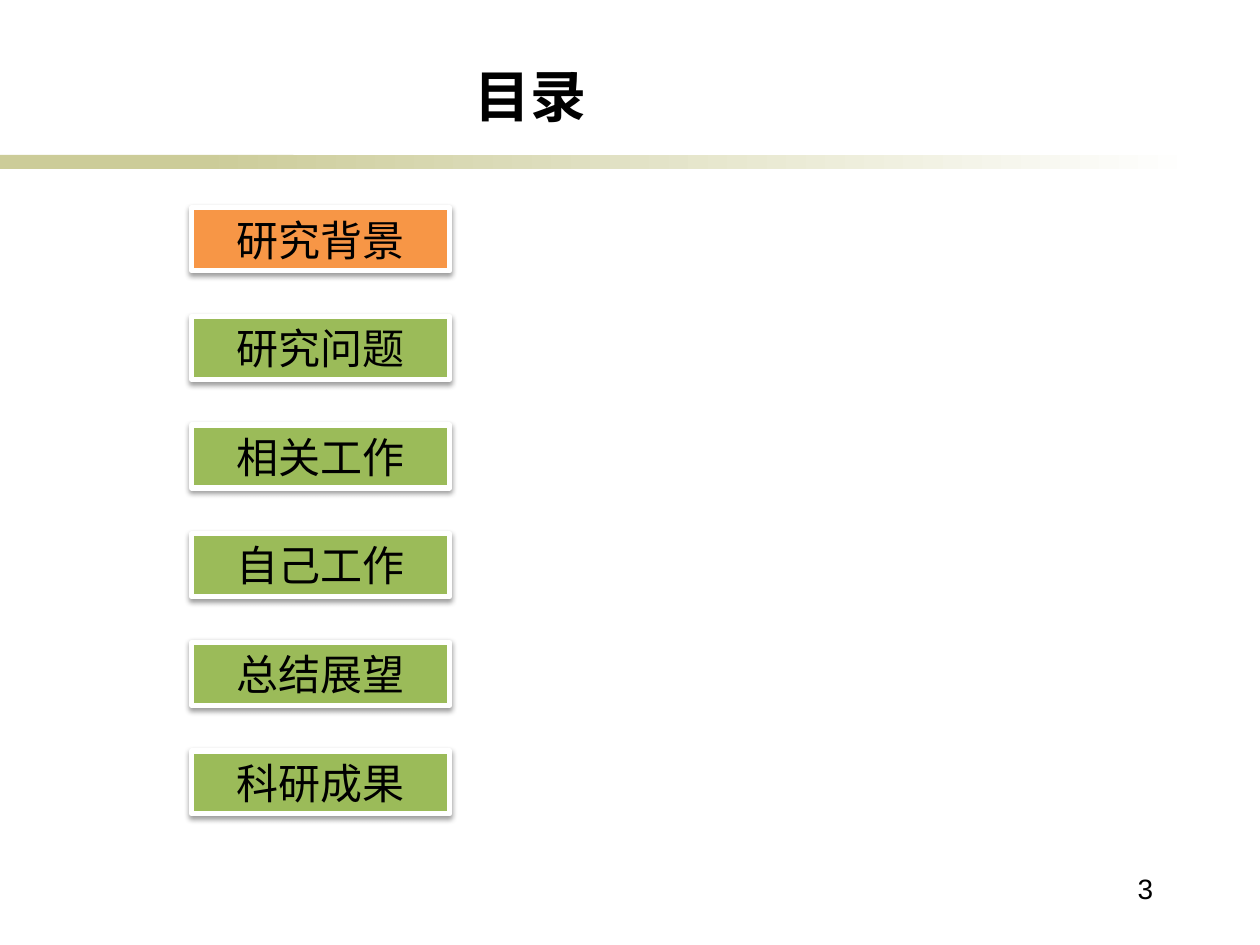
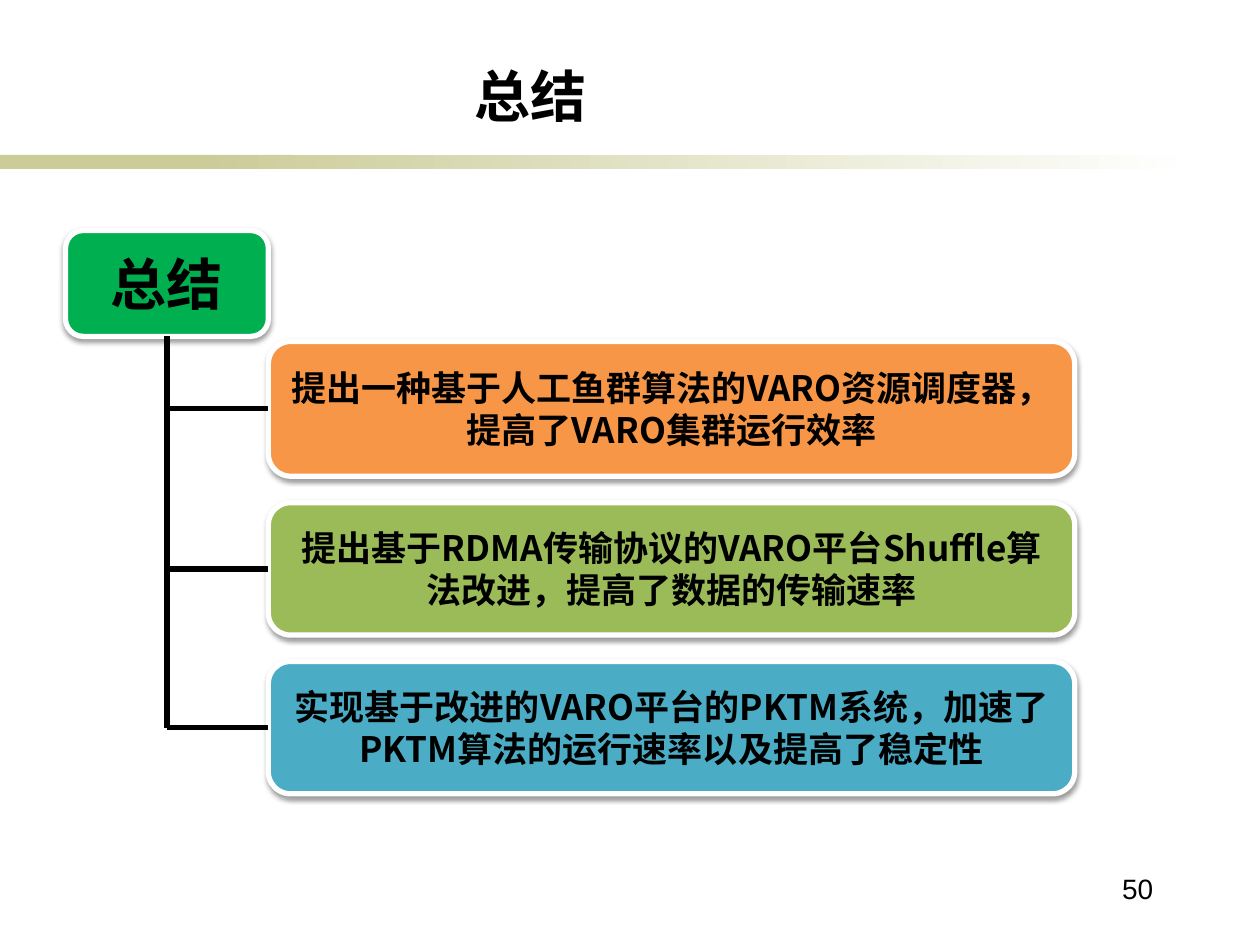
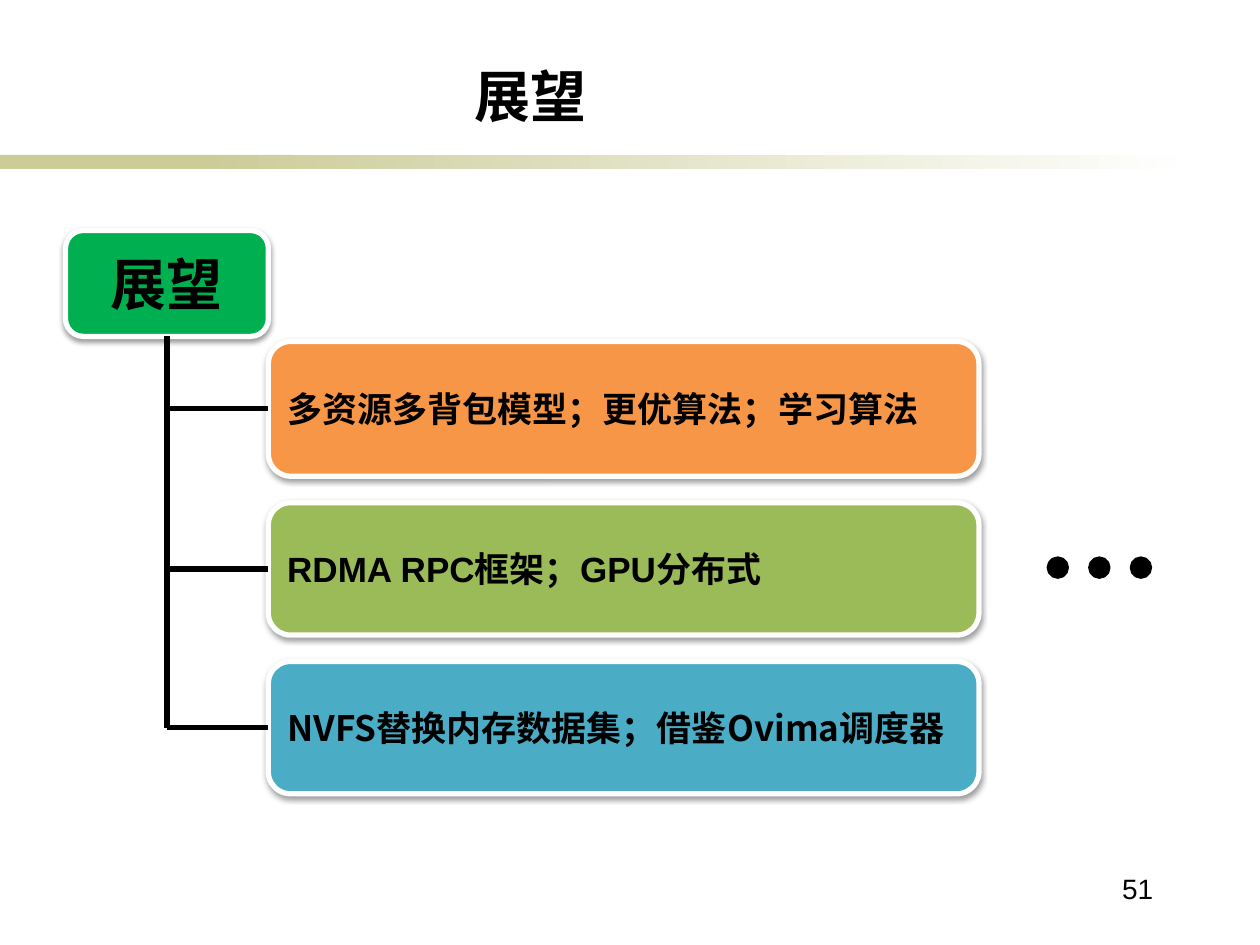
from lxml.etree import SubElement
from pptx import Presentation
from pptx.dml.color import RGBColor
from pptx.enum.shapes import MSO_CONNECTOR, MSO_SHAPE
from pptx.enum.text import MSO_ANCHOR, MSO_AUTO_SIZE, PP_ALIGN
from pptx.oxml.ns import qn
from pptx.util import Inches, Pt

CJK, LATIN = "Noto Sans CJK SC", "Arial"
COLORS = {
    "text": "000000", "white": "FFFFFF", "band": "CCCC99", "root": "00B050",
    "orange": "F79646", "green": "9BBB59", "blue": "4BACC6",
}

AGENDA = ["研究背景", "研究问题", "相关工作", "自己工作", "总结展望", "科研成果"]
SUMMARY = [
    ("提出一种基于人工鱼群算法的VARO资源调度器，提高了VARO集群运行效率", CJK),
    ("提出基于RDMA传输协议的VARO平台Shuffle算法改进，提高了数据的传输速率", CJK),
    ("实现基于改进的VARO平台的PKTM系统，加速了PKTM算法的运行速率以及提高了稳定性", CJK),
]
OUTLOOK = [
    ("多资源多背包模型；更优算法；学习算法", CJK),
    ("RDMA RPC框架；GPU分布式", LATIN),
    ("NVFS替换内存数据集；借鉴Ovima调度器", CJK),
]
BRANCH_ROWS = [("orange", 2.71, 1.07), ("green", 3.99, 1.05), ("blue", 5.25, 1.05)]


def rgb(name):
    return RGBColor.from_string(COLORS[name])


def inches(*lengths):
    return [Inches(n) for n in lengths]


def write(sp, text, size, bold=False, align=PP_ALIGN.CENTER, latin=CJK):
    tf = sp.text_frame
    tf.word_wrap = True
    tf.text = text
    p = tf.paragraphs[0]
    p.alignment = align
    p.font.size, p.font.bold, p.font.name = Pt(size), bold, latin
    p.font.color.rgb = rgb("text")
    for props in sp.element.iter(qn("a:defRPr")):
        SubElement(props, qn("a:ea"), typeface=CJK)


def add_shadow(sp):
    sp.shadow.inherit = False
    effects = sp.element.spPr.find(qn("a:effectLst"))
    shadow = SubElement(effects, qn("a:outerShdw"), blurRad=str(Pt(3.1)),
                        dist=str(Pt(1.6)), dir="5400000", rotWithShape="0")
    color = SubElement(shadow, qn("a:srgbClr"), val=COLORS["text"])
    SubElement(color, qn("a:alpha"), val="38000")


def add_box(slide, kind, at, color, text, size, **style):
    sp = slide.shapes.add_shape(kind, *inches(*at))
    sp.fill.solid()
    sp.fill.fore_color.rgb = rgb(color)
    sp.line.color.rgb = rgb("white")
    sp.line.width = Pt(3)
    add_shadow(sp)
    write(sp, text, size, **style)
    return sp


def add_line(slide, x1, y1, x2, y2):
    line = slide.shapes.add_connector(MSO_CONNECTOR.STRAIGHT, x1, y1, x2, y2)
    line.line.color.rgb = rgb("text")
    line.line.width = Pt(3)
    SubElement(line.element.spPr, qn("a:effectLst"))
    return line


def add_bands(slide, layout):
    """Draw the two title bands and move them to the layout all slides share."""
    for left, width, fades in [(0, 2.33, False), (1.58, 7.92, True)]:
        sp = slide.shapes.add_shape(MSO_SHAPE.RECTANGLE, *inches(left, 1.23, width, 0.11))
        sp.shadow.inherit = False
        sp.line.fill.background()
        if fades:
            sp.fill.gradient()
            sp.fill.gradient_angle = 0
            for stop, color in zip(sp.fill.gradient_stops, ("band", "white")):
                stop.color.rgb = rgb(color)
        else:
            sp.fill.solid()
            sp.fill.fore_color.rgb = rgb("band")
        layout.shapes.element.append(sp.element)


def add_slide(prs, title, number):
    slide = prs.slides.add_slide(prs.slide_layouts.get_by_name("Title Only"))
    sp = slide.shapes.title
    sp.left, sp.top, sp.width, sp.height = inches(1.14, 0.44, 6.14, 0.63)
    write(sp, title, 32, bold=True)
    tf = sp.text_frame
    tf.auto_size = MSO_AUTO_SIZE.NONE
    tf.vertical_anchor = MSO_ANCHOR.BOTTOM
    tf.margin_left = tf.margin_right = tf.margin_top = 0
    tf.margin_bottom = Inches(0.05)
    page = slide.shapes.add_textbox(*inches(8.23, 6.87, 1.02, 0.5))
    write(page, str(number), 16, align=PP_ALIGN.RIGHT, latin=LATIN)
    return slide


def add_agenda(slide, current):
    for i, topic in enumerate(AGENDA):
        color = "orange" if topic == current else "green"
        add_box(slide, MSO_SHAPE.RECTANGLE, (1.52, 1.65 + i * 4.31 / 5, 2.05, 0.5),
                color, topic, 24)


def add_tree(slide, topic, points, width, align):
    """Hang one box per point on a trunk that drops from the topic box."""
    boxes = [
        add_box(slide, MSO_SHAPE.ROUNDED_RECTANGLE, (2.13, top, width, height),
                color, text, 20, bold=True, align=align, latin=latin)
        for (text, latin), (color, top, height) in zip(points, BRANCH_ROWS)
    ]
    root = add_box(slide, MSO_SHAPE.ROUNDED_RECTANGLE, (0.52, 1.83, 1.61, 0.84),
                   "root", topic, 32, bold=True)
    x = root.left + root.width // 2
    middles = [box.top + box.height // 2 for box in boxes]
    trunk = add_line(slide, x, root.top + root.height, x, middles[-1])
    trunk.begin_connect(root, 2)
    for box, y in zip(boxes, middles):
        add_line(slide, x, y, box.left, y).end_connect(box, 1)


def add_ellipsis(slide):
    group = slide.shapes.add_group_shape()
    for i in range(3):
        dot = group.shapes.add_shape(MSO_SHAPE.OVAL, *inches(8.32 + i * 0.33, 4.43, 0.15, 0.15))
        dot.shadow.inherit = False
        dot.fill.solid()
        dot.fill.fore_color.rgb = dot.line.color.rgb = rgb("text")
        dot.line.width = Pt(2)


def main():
    prs = Presentation()
    prs.slide_width, prs.slide_height = inches(10, 7.5)

    agenda = add_slide(prs, "目录", 3)
    add_bands(agenda, agenda.slide_layout)
    add_agenda(agenda, "研究背景")

    summary = add_slide(prs, "总结", 50)
    add_tree(summary, "总结", SUMMARY, 6.4, PP_ALIGN.CENTER)

    outlook = add_slide(prs, "展望", 51)
    add_tree(outlook, "展望", OUTLOOK, 5.64, PP_ALIGN.LEFT)
    add_ellipsis(outlook)

    prs.save("out.pptx")


if __name__ == "__main__":
    main()
